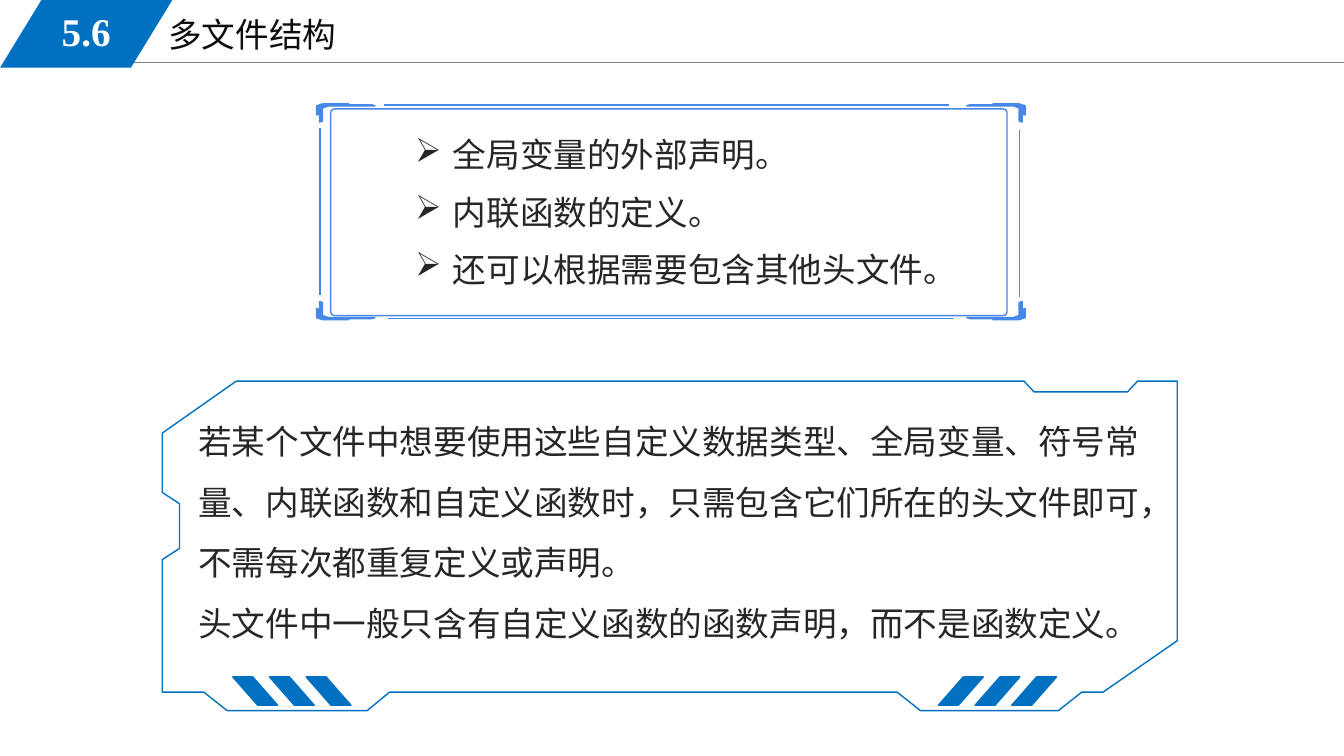
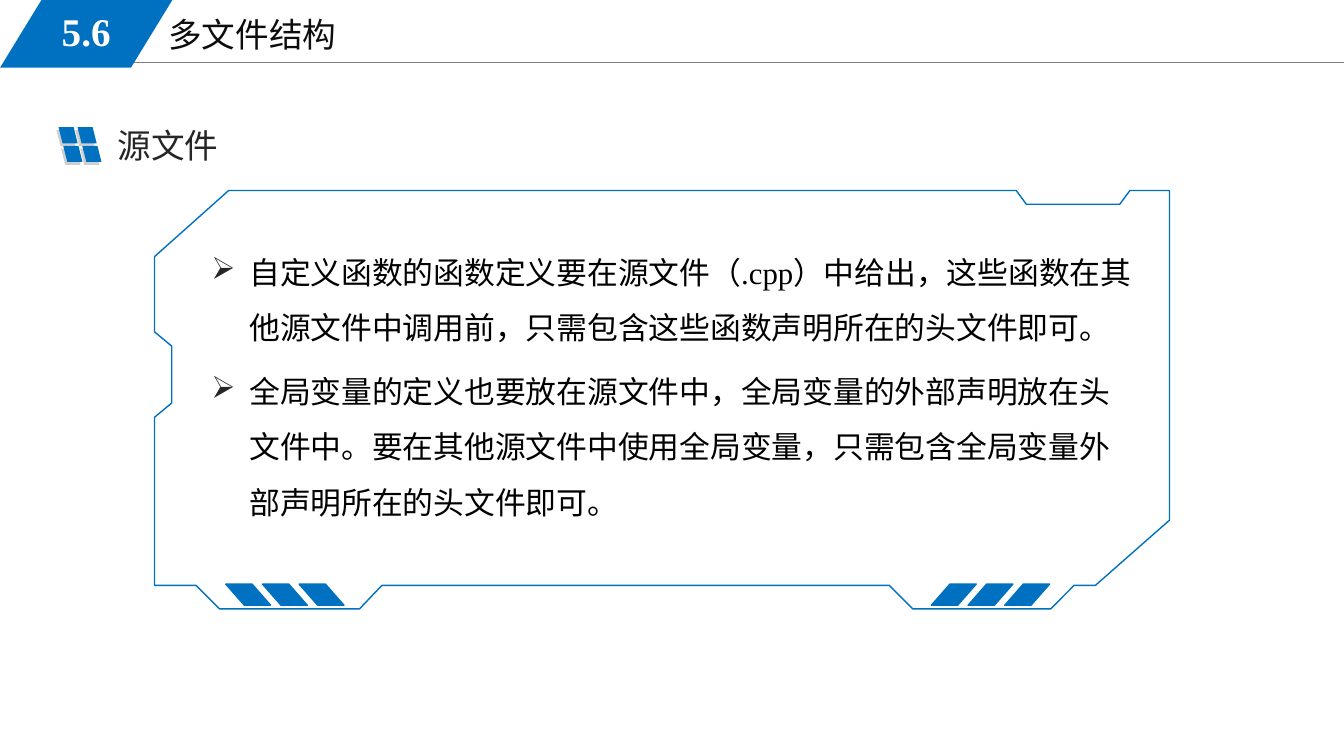
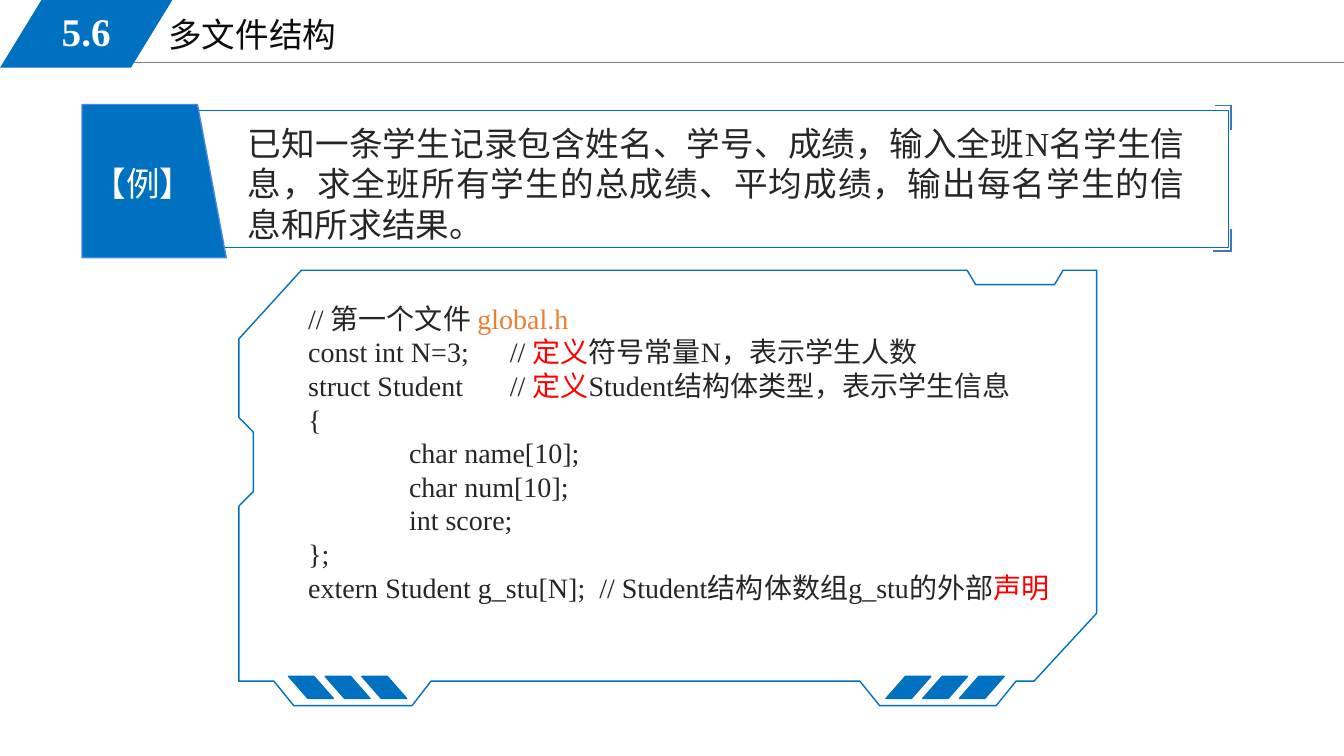
from dataclasses import dataclass
from itertools import product

import pptx
import pptx.dml.color
import pptx.enum.shapes
import pptx.enum.text
import pptx.oxml.ns
import pptx.util
from lxml import etree

COLORS = {
    "blue": "0070C0", "frame": "4788E6", "bracket": "4472C4", "rule": "808080",
    "title": "0D0D0D", "body": "262626", "black": "000000", "white": "FFFFFF",
    "shade": "D0CECE", "red": "FF0000", "orange": "ED7D31",
}
FONT = "Times New Roman"
HANGING = 27
PRESET = pptx.enum.shapes.MSO_SHAPE
ALIGN = pptx.enum.text.PP_ALIGN

PANEL_OUTLINE = [
    (74.7, 100), (88.3, 100), (90.6, 94.4), (92.7, 94.4), (100, 78.8), (100, 0),
    (96.1, 0), (95.1, 3.3), (85.9, 3.3), (84.9, 0), (7.3, 0), (0, 15.8),
    (0, 33.8), (1.7, 37.2), (1.7, 50.8), (0, 54.2), (0, 94.4), (4.1, 94.4),
    (6.4, 100), (20.2, 100), (22.4, 94.4), (72.4, 94.4),
]
CORNER_OUTLINE = [
    (4.3, 0), (23, 0), (20.9, 0.7), (39.6, 0.7), (41.8, 1.4), (8.6, 1.4), (4.3, 2.9),
    (4.3, 12.2), (2.2, 13), (2.2, 7.2), (0, 7.9), (0, 1.4),
]


@dataclass(frozen=True)
class Area:
    left: float
    top: float
    width: float
    height: float

    def lengths(self) -> list:
        return [pptx.util.Pt(value) for value in (self.left, self.top, self.width, self.height)]


@dataclass(frozen=True)
class Span:
    text: str
    color: str = "body"


@dataclass(frozen=True)
class Style:
    size: float = 24
    bold: bool = False
    align: object = None
    line_spacing: float | None = None
    space_before: float = 0
    bullet: bool = False
    tabs: tuple = ()
    inset: float = 7.2
    middle: bool = False


@dataclass(frozen=True)
class Panel:
    area: Area
    left_stripes: float
    right_stripes: float
    stripe_top: float
    stripe_height: float


def color_of(name: str):
    return pptx.dml.color.RGBColor.from_string(COLORS[name])


def paint(shape, fill: str | None, line: str | None) -> None:
    shape.shadow.inherit = False
    if fill:
        shape.fill.solid()
        shape.fill.fore_color.rgb = color_of(fill)
    else:
        shape.fill.background()
    if line:
        shape.line.color.rgb = color_of(line)
        shape.line.width = pptx.util.Pt(1)
    else:
        shape.line.fill.background()


def add_preset(page, preset, area: Area, fill: str | None = None, line: str | None = None,
               adjust: float | None = None, flip: bool = False, rotation: float = 0) -> None:
    shape = page.shapes.add_shape(preset, *area.lengths())
    paint(shape, fill, line)
    shape.rotation = rotation
    if adjust is not None:
        shape.adjustments[0] = adjust
    if flip:
        shape._element.spPr.xfrm.set("flipH", "1")


def add_outline(page, points: list, fill: str | None, line: str) -> None:
    corners = [(pptx.util.Pt(x), pptx.util.Pt(y)) for x, y in points]
    builder = page.shapes.build_freeform(*corners[0], scale=1.0)
    builder.add_line_segments(corners[1:], close=True)
    paint(builder.convert_to_shape(), fill, line)


def add_line(page, ends: tuple, color: str, width: float = 1) -> None:
    line = page.shapes.add_connector(
        pptx.enum.shapes.MSO_CONNECTOR.STRAIGHT, *[pptx.util.Pt(value) for value in ends])
    line.line.color.rgb = color_of(color)
    line.line.width = pptx.util.Pt(width)
    etree.SubElement(line._element.spPr, pptx.oxml.ns.qn("a:effectLst"))


def add_bullet(para) -> None:
    properties = para._p.get_or_add_pPr()
    properties.set("marL", str(pptx.util.Pt(HANGING)))
    properties.set("indent", str(-pptx.util.Pt(HANGING)))
    color = etree.SubElement(properties, pptx.oxml.ns.qn("a:buClr"))
    etree.SubElement(color, pptx.oxml.ns.qn("a:srgbClr"), val=COLORS["body"])
    etree.SubElement(properties, pptx.oxml.ns.qn("a:buChar"), char="➢")


def add_tabs(para, stops: tuple) -> None:
    tabs = etree.SubElement(para._p.get_or_add_pPr(), pptx.oxml.ns.qn("a:tabLst"))
    for stop in stops:
        etree.SubElement(tabs, pptx.oxml.ns.qn("a:tab"), pos=str(pptx.util.Pt(stop)), algn="l")


def add_text(page, area: Area, lines: list, style: Style = Style()) -> None:
    box = page.shapes.add_textbox(*area.lengths())
    anchors = pptx.enum.text.MSO_ANCHOR
    frame_format = {
        "word_wrap": True,
        "auto_size": pptx.enum.text.MSO_AUTO_SIZE.SHAPE_TO_FIT_TEXT,
        "vertical_anchor": anchors.MIDDLE if style.middle else anchors.TOP,
        "margin_left": pptx.util.Pt(style.inset),
        "margin_right": pptx.util.Pt(style.inset),
    }
    for name, value in frame_format.items():
        setattr(box.text_frame, name, value)
    span_format = {"name": FONT, "size": pptx.util.Pt(style.size), "bold": style.bold}
    for index, spans in enumerate(lines):
        para = box.text_frame.add_paragraph() if index else box.text_frame.paragraphs[0]
        if style.bullet:
            add_bullet(para)
        if style.tabs:
            add_tabs(para, style.tabs)
        para_format = {"alignment": style.align, "line_spacing": style.line_spacing}
        if index and style.space_before:
            para_format["space_before"] = pptx.util.Pt(style.space_before)
        for name, value in para_format.items():
            setattr(para, name, value)
        for part in spans:
            span = para.add_run()
            span.text = part.text
            for name, value in span_format.items():
                setattr(span.font, name, value)
            span.font.color.rgb = color_of(part.color)


def add_page(deck):
    page = deck.slides.add_slide(deck.slide_layouts[6])
    add_line(page, (81.4, 44.6, 960, 44.6), "rule", 0.75)
    add_text(page, Area(112.3, 6.5, 408, 36.4), [[Span("多文件结构", "title")]], Style(inset=7.9))
    add_preset(page, PRESET.PARALLELOGRAM, Area(0, 0, 123.1, 48.4), "blue", adjust=0.612)
    add_text(page, Area(18, 1.4, 87.1, 41.8), [[Span("5.6", "white")]],
             Style(size=28, bold=True, align=ALIGN.CENTER, inset=7.9, middle=True))
    return page


def add_panel(page, panel: Panel) -> None:
    area = panel.area
    points = [(area.left + area.width * x / 100, area.top + area.height * y / 100)
              for x, y in PANEL_OUTLINE]
    add_outline(page, points, None, "blue")
    for start, flip in ((panel.right_stripes, False), (panel.left_stripes, True)):
        for index in range(3):
            stripe = Area(start + 26.2 * index, panel.stripe_top, 32, panel.stripe_height)
            add_preset(page, PRESET.PARALLELOGRAM, stripe, "blue", "blue", 0.878, flip)


def add_bracket_frame(page, area: Area) -> None:
    right, bottom = area.left + area.width, area.top + area.height
    add_preset(page, PRESET.ROUNDED_RECTANGLE, Area(236.2, 77.8, 483.1, 147.6),
               line="frame", adjust=0.019)
    for (x, x_way), (y, y_way) in product(((area.left, 1), (right, -1)),
                                          ((area.top, 1), (bottom, -1))):
        points = [(x + x_way * dx, y + y_way * dy) for dx, dy in CORNER_OUTLINE]
        add_outline(page, points, "frame", "frame")
    for ends in ((274.3, 74.9, 678.2, 74.9), (277.2, 227.5, 681.1, 227.5),
                 (228.5, 91.4, 228.5, 211), (728.4, 92.9, 728.4, 212.4)):
        add_line(page, ends, "frame")


def add_window_icon(page) -> None:
    for left, top, color in ((40.3, 92.9, "shade"), (41.8, 90.9, "blue")):
        for column, row in product(range(2), repeat=2):
            pane = Area(left + 13.6 * column + 3.4 * row, top + 13.3 * row, 13.7, 11.5)
            add_preset(page, PRESET.PARALLELOGRAM, pane, color, flip=True)


def build_header_file_page(deck) -> None:
    page = add_page(deck)
    add_text(page, Area(134.6, 283, 696.2, 181.4), [
        [Span("若某个文件中想要使用这些自定义数据类型、全局变量、符号常量、内联函数和自定义函数时，"
              "只需包含它们所在的头文件即可，不需每次都重复定义或声明。")],
        [Span("头文件中一般只含有自定义函数的函数声明，而不是函数定义。")],
    ], Style(line_spacing=1.5))
    items = ("全局变量的外部声明。", "内联函数的定义。", "还可以根据需要包含其他头文件。")
    for index, item in enumerate(items):
        add_text(page, Area(289.4, 92.2 + 41 * index, 401, 36), [[Span(item)]], Style(bullet=True))
    add_bracket_frame(page, Area(226.1, 74.2, 506.2, 154.1))
    add_panel(page, Panel(Area(115.9, 272.2, 725, 235.4), 166.3, 670.3, 483.5, 20.2))


def build_source_file_page(deck) -> None:
    page = add_page(deck)
    add_window_icon(page)
    add_text(page, Area(77, 85.7, 807.8, 36), [[Span("源文件")]])
    add_panel(page, Panel(Area(110.4, 136.1, 725, 298.8), 161.3, 665.3, 417.2, 15.1))
    add_text(page, Area(144, 164.2, 674.6, 200.9), [
        [Span("自定义函数的函数定义要在源文件（.cpp）中给出，这些函数在其他源文件中调用前，"
              "只需包含这些函数声明所在的头文件即可。", "black")],
        [Span("全局变量的定义也要放在源文件中，全局变量的外部声明放在头文件中。"
              "要在其他源文件中使用全局变量，只需包含全局变量外部声明所在的头文件即可。", "black")],
    ], Style(size=22, line_spacing=1.5, space_before=6, bullet=True))


def build_example_page(deck) -> None:
    page = add_page(deck)
    add_preset(page, PRESET.RECTANGLE, Area(59, 78.8, 818.6, 97.9), line="blue")
    add_preset(page, PRESET.FLOWCHART_MANUAL_INPUT, Area(55.4, 77.8, 109.4, 103),
               "blue", "frame", rotation=90)
    add_text(page, Area(59, 113, 93.6, 36), [[Span("【例】", "white")]])
    add_text(page, Area(169.9, 84.2, 683.3, 94.3), [
        [Span("已知一条学生记录包含姓名、学号、成绩，输入全班N名学生信息，"
              "求全班所有学生的总成绩、平均成绩，输出每名学生的信息和所求结果。")],
    ], Style(align=ALIGN.JUSTIFY))
    for ends in ((867.6, 75.6, 879.8, 75.6), (879.3, 74.9, 879.3, 92.9),
                 (879.3, 163.4, 879.3, 180), (879.3, 179.3, 866.2, 179.3)):
        add_line(page, ends, "bracket")
    add_panel(page, Panel(Area(170.6, 193, 612.7, 311), 206.1, 632.9, 483.1, 15.8))
    add_text(page, Area(213.1, 211.7, 547.2, 225.4), [
        [Span("// 第一个文件 "), Span("global.h", "orange")],
        [Span("const int N=3;\t// "), Span("定义", "red"), Span("符号常量N，表示学生人数")],
        [Span("struct Student\t// "), Span("定义", "red"), Span("Student结构体类型，表示学生信息")],
        [Span("{")],
        [Span("\tchar name[10];")],
        [Span("\tchar num[10];")],
        [Span("\tint score;")],
        [Span("};")],
        [Span("extern Student g_stu[N];  // Student结构体数组g_stu的外部"), Span("声明", "red")],
    ], Style(size=20, tabs=(72, 144)))


def main() -> None:
    deck = pptx.Presentation()
    deck.slide_width = pptx.util.Pt(960)
    deck.slide_height = pptx.util.Pt(540)
    build_header_file_page(deck)
    build_source_file_page(deck)
    build_example_page(deck)
    deck.save("out.pptx")


if __name__ == "__main__":
    main()
